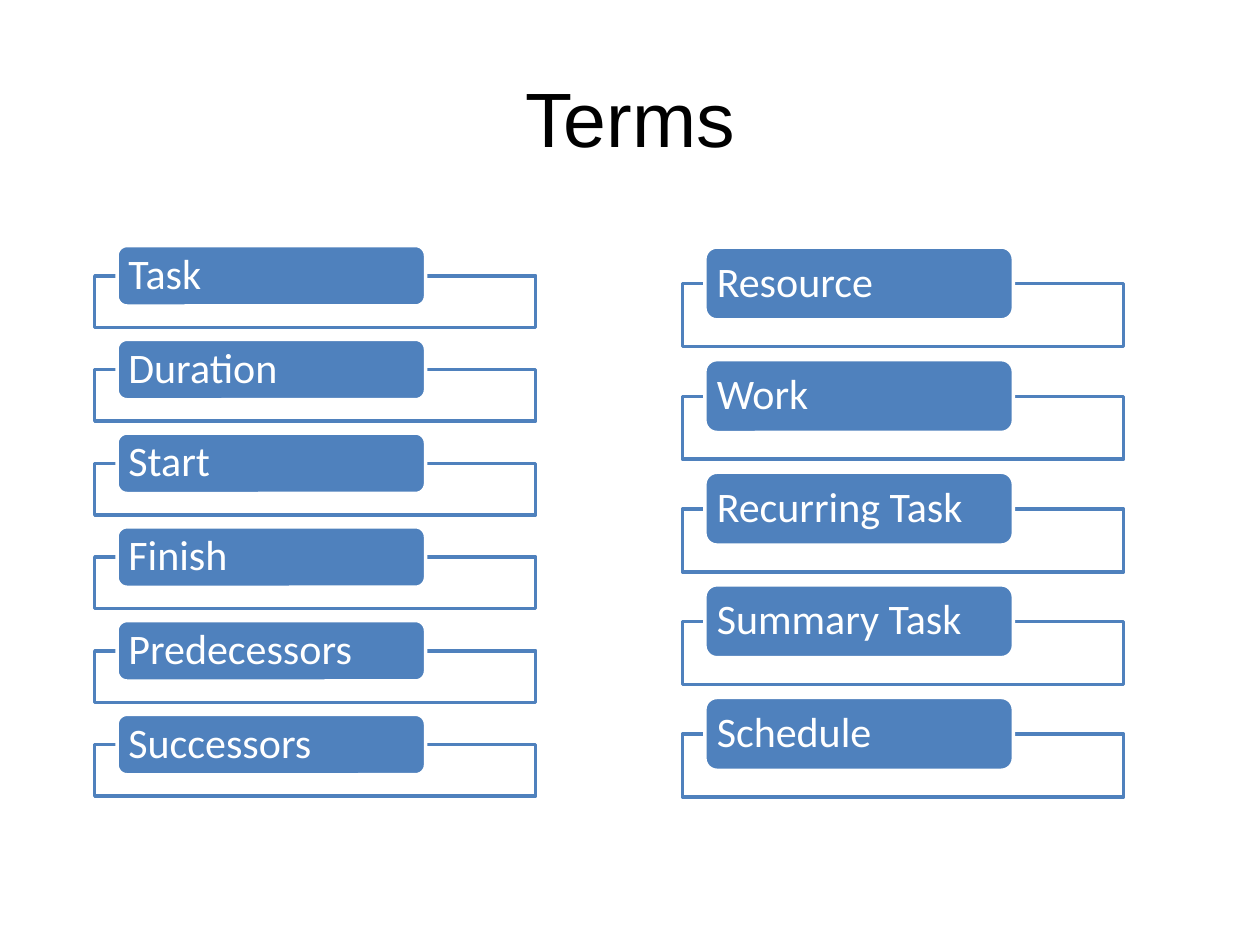
from lxml import etree
from pptx import Presentation
from pptx import util as u
from pptx.dml import color
from pptx.enum import shapes, text
from pptx.oxml import ns


def paint(target, value):
    target.rgb = color.RGBColor.from_string(value)


def add_panel(group, kind, left, top, width, height, fill, line):
    panel = group.shapes.add_shape(kind, u.Cm(left), u.Cm(top), u.Cm(width), u.Cm(height))
    panel.shadow.inherit = False
    panel.fill.solid()
    paint(panel.fill.fore_color, fill)
    paint(panel.line.color, line)
    panel.line.width = u.Pt(2)
    return panel


BLUE = "4F81BD"
WHITE = "FFFFFF"

deck = Presentation()
deck.slide_width = u.Cm(25.4)
deck.slide_height = u.Cm(19.05)
page = deck.slides.add_slide(deck.slide_layouts[5])

title = page.shapes.title
title.left, title.top, title.width, title.height = u.Cm(1.27), u.Cm(0.76), u.Cm(22.86), u.Cm(3.18)
title.text_frame.vertical_anchor = text.MSO_ANCHOR.MIDDLE
para = title.text_frame.paragraphs[0]
para.alignment = text.PP_ALIGN.CENTER
span = para.add_run()
span.text = "Terms"
span.font.size = u.Pt(44)
span.font.name = "Arial"
paint(span.font.color, "000000")

columns = [
    dict(left=1.91, label_top=4.95, label_height=1.22, frame_top=5.56, frame_height=1.04, pitch=1.89,
         terms=["Task", "Duration", "Start", "Finish", "Predecessors", "Successors"]),
    dict(left=13.76, label_top=4.98, label_height=1.47, frame_top=5.72, frame_height=1.27, pitch=2.27,
         terms=["Resource", "Work", "Recurring Task", "Summary Task", "Schedule"]),
]

for column in columns:
    group = page.shapes.add_group_shape()
    for row, term in enumerate(column["terms"]):
        shift = row * column["pitch"]
        frame = add_panel(group, shapes.MSO_SHAPE.RECTANGLE, column["left"], column["frame_top"] + shift,
                          8.89, column["frame_height"], WHITE, BLUE)
        tint = frame.fill._xPr.find(".//" + ns.qn("a:srgbClr"))
        etree.SubElement(tint, ns.qn("a:alpha"), val="90000")

        label = add_panel(group, shapes.MSO_SHAPE.ROUNDED_RECTANGLE, column["left"] + 0.45,
                          column["label_top"] + shift, 6.22, column["label_height"], BLUE, WHITE)
        box = label.text_frame
        box.word_wrap = True
        box.vertical_anchor = text.MSO_ANCHOR.MIDDLE
        box.margin_left = box.margin_right = u.Cm(0.17)
        box.margin_top = box.margin_bottom = 0
        para = box.paragraphs[0]
        para.alignment = text.PP_ALIGN.LEFT
        para.line_spacing = 0.9
        span = para.add_run()
        span.text = term
        span.font.size = u.Pt(24)
        span.font.name = "Calibri"
        paint(span.font.color, WHITE)

deck.save("out.pptx")
